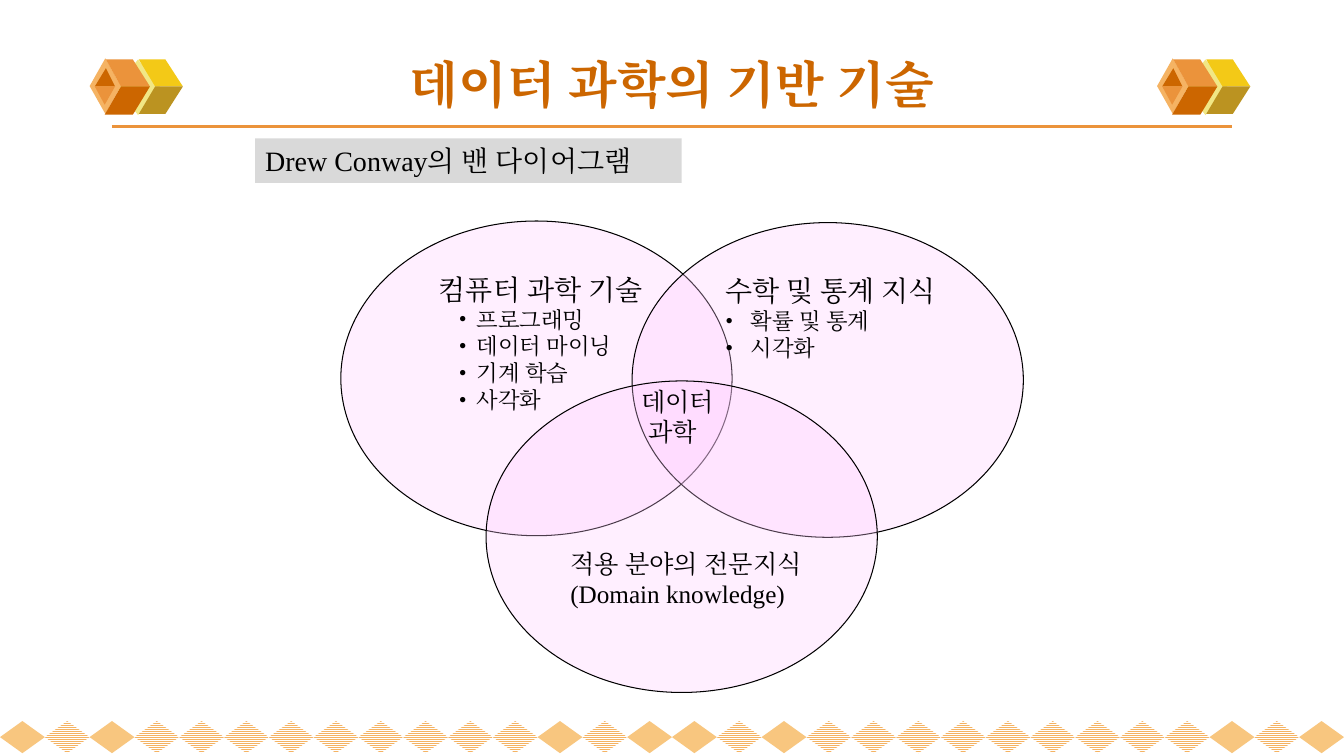
from lxml import etree
from pptx import Presentation
from pptx.dml.color import RGBColor
from pptx.enum.dml import MSO_PATTERN
from pptx.enum.shapes import MSO_CONNECTOR, MSO_SHAPE
from pptx.enum.text import MSO_ANCHOR, PP_ALIGN
from pptx.oxml.ns import qn
from pptx.util import Cm, Pt

DIAMOND, ELLIPSE, RECT = MSO_SHAPE.DIAMOND, MSO_SHAPE.OVAL, MSO_SHAPE.RECTANGLE
TOP, MIDDLE, BOTTOM = MSO_ANCHOR.TOP, MSO_ANCHOR.MIDDLE, MSO_ANCHOR.BOTTOM
LEFT, CENTER = PP_ALIGN.LEFT, PP_ALIGN.CENTER
STRIPES = MSO_PATTERN.NARROW_HORIZONTAL
FONT = "Times New Roman"
WIDTH, HEIGHT = 33.87, 19.05

# Paragraphs are (text, size, left margin in cm, bullet hang in cm)
TITLE = [("데이터 과학의 기반 기술", 36, 0, 0)]
CAPTION = [("Drew Conway의 밴 다이어그램", 20, 0, 0)]
CORE = [("데이터", 18, 0, 0), ("과학", 18, 0.18, 0)]
COMPUTING = [("컴퓨터 과학 기술", 20, 0, 0)] + [
    (skill, 16, 0.95, 0.45) for skill in ("프로그래밍", "데이터 마이닝", "기계 학습", "사각화")]
STATISTICS = [("수학 및 통계 지식", 20, 0, 0)] + [
    (skill, 16, 0.64, 0.64) for skill in ("확률 및 통계", "시각화")]
DOMAIN = [("적용 분야의 전문지식", 18, 0, 0), ("(Domain knowledge)", 18, 0, 0)]

# Circles are (box, paragraphs, anchor, left inset, bottom inset)
CIRCLES = [
    ((8.59, 5.57, 9.86, 7.93), COMPUTING, TOP, 1.03, 0.13),
    ((15.93, 5.61, 9.86, 7.93), STATISTICS, TOP, 0.91, 0.13),
    ((12.25, 9.6, 9.86, 7.85), DOMAIN, BOTTOM, 0.68, 0.97),
]

# Cube parts, measured from the cube's top left corner
CUBES = [(2.26, 1.47), (29.16, 1.47)]
CUBE_DIAMONDS = [((0.66, 0.03, 1.12, 1.4), "F1E785"), ((0, 0, 0.79, 1.4), "F5B363")]
CUBE_FACES = [
    ([(1.65, 0.71), (2.35, 0.71), (1.91, 0.03), (1.24, 0.03)], "F3C917"),
    ([(1.65, 0.71), (2.35, 0.71), (1.91, 1.4), (1.24, 1.4)], "BB9321"),
    ([(0.79, 0.71), (1.52, 0.71), (1.09, 0.03), (0.41, 0.03)], "EB933B"),
    ([(0.79, 0.71), (1.52, 0.71), (1.09, 1.42), (0.38, 1.42)], "CC6600"),
    ([(0.41, 0.25), (0.13, 0.71), (0.64, 0.71)], "CC6600"),
    ([(0.38, 1.17), (0.13, 0.71), (0.64, 0.71)], "EB933B"),
]

BORDER_COUNT = 30
BORDER_BRIGHT = {0, 2, 12, 14, 15, 17, 27, 29}


def color(value):
    return RGBColor.from_string(value)


def paint(sp, fill, line=None, alpha=None):
    sp.shadow.inherit = False
    sp.fill.solid()
    sp.fill.fore_color.rgb = color(fill)
    if alpha:
        clr = sp.fill._xPr.find(qn("a:solidFill"))[0]
        etree.SubElement(clr, qn("a:alpha")).set("val", str(alpha * 1000))
    if line:
        sp.line.color.rgb = color(line)
        sp.line.width = Pt(0.75)
    else:
        sp.line.fill.background()


def write(sp, paragraphs, ink="000000", bold=False, align=LEFT, **frame):
    tf = sp.text_frame
    settings = {"word_wrap": True, "vertical_anchor": TOP, **frame}
    for name, value in settings.items():
        setattr(tf, name, value)
    for i, (text, size, margin, hang) in enumerate(paragraphs):
        p = tf.add_paragraph() if i else tf.paragraphs[0]
        p.alignment = align
        pPr = p._p.get_or_add_pPr()
        pPr.set("marL", str(Cm(margin)))
        pPr.set("indent", str(-Cm(hang)))
        if hang:
            etree.SubElement(pPr, qn("a:buFont")).set("typeface", FONT)
            etree.SubElement(pPr, qn("a:buChar")).set("char", "•")
        r = p.add_run()
        r.text = text
        for name, value in {"name": FONT, "size": Pt(size), "bold": bold}.items():
            setattr(r.font, name, value)
        r.font.color.rgb = color(ink)
        etree.SubElement(r._r.get_or_add_rPr(), qn("a:ea")).set("typeface", FONT)


def add_shape(shapes, kind, box):
    return shapes.add_shape(kind, *map(Cm, box))


def add_border(shapes):
    step = WIDTH / BORDER_COUNT
    for i in range(BORDER_COUNT):
        sp = add_shape(shapes, DIAMOND, (i * step, 18.17, step, 0.81))
        paint(sp, "F8C67F")
        if i not in BORDER_BRIGHT:
            sp.fill.patterned()
            sp.fill.pattern = STRIPES
            sp.fill.fore_color.rgb = color("F5B363")
            sp.fill.back_color.rgb = color("FFFFFF")


def add_rule(shapes):
    """Draw the orange line under the title."""
    cxn = shapes.add_connector(MSO_CONNECTOR.STRAIGHT, *map(Cm, (2.82, 3.18, 31.04, 3.18)))
    cxn.line.color.rgb = color("EB933B")
    cxn.line.width = Pt(2.25)
    etree.SubElement(cxn._element.spPr, qn("a:effectLst"))


def add_cube(shapes, left, top):
    for (x, y, w, h), fill in CUBE_DIAMONDS:
        paint(add_shape(shapes, DIAMOND, (left + x, top + y, w, h)), fill)
    for points, fill in CUBE_FACES:
        corners = [(Cm(left + x), Cm(top + y)) for x, y in points]
        outline = shapes.build_freeform(*corners[0])
        outline.add_line_segments(corners[1:], close=True)
        paint(outline.convert_to_shape(), fill)


def add_venn(shapes):
    for box, paragraphs, anchor, left, bottom in CIRCLES:
        sp = add_shape(shapes, ELLIPSE, box)
        paint(sp, "FFCCFF", "000000", 30)
        write(sp, paragraphs, vertical_anchor=anchor,
              margin_left=Cm(left), margin_right=Cm(0), margin_bottom=Cm(bottom))
    write(shapes.add_textbox(*map(Cm, (15.91, 9.6, 2.49, 1.8))), CORE)


def main():
    prs = Presentation()
    prs.slide_width, prs.slide_height = Cm(WIDTH), Cm(HEIGHT)
    shapes = prs.slides.add_slide(prs.slide_layouts[6]).shapes

    add_border(shapes)
    add_rule(shapes)
    for left, top in CUBES:
        add_cube(shapes, left, top)
    title = shapes.add_textbox(*map(Cm, (1.7, 1.14, 30.48, 1.93)))
    write(title, TITLE, "CC6600", True, CENTER, vertical_anchor=MIDDLE)
    add_venn(shapes)
    caption = add_shape(shapes, RECT, (6.43, 3.49, 10.75, 1.12))
    paint(caption, "D9D9D9")
    write(caption, CAPTION)

    prs.save("out.pptx")


if __name__ == "__main__":
    main()
